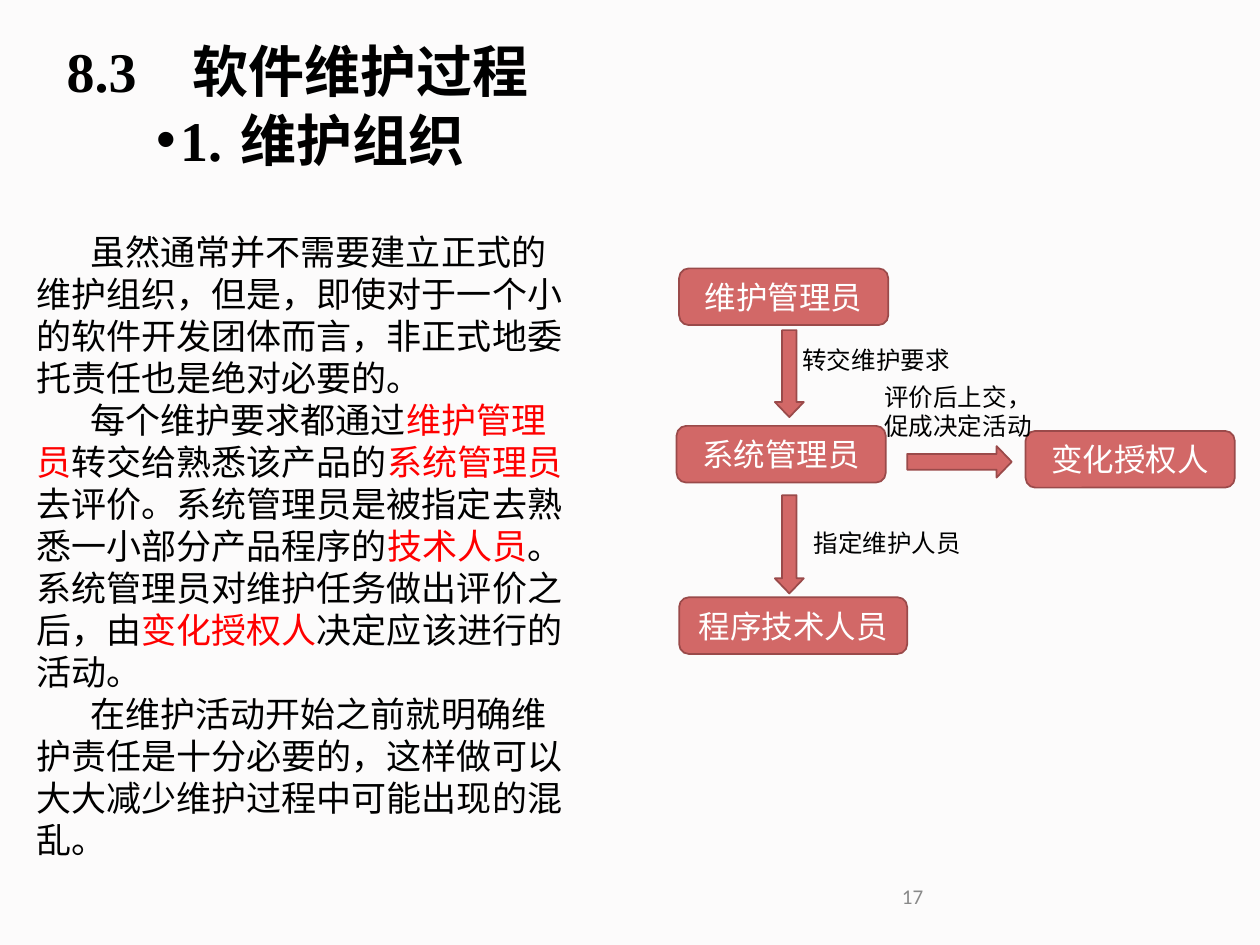
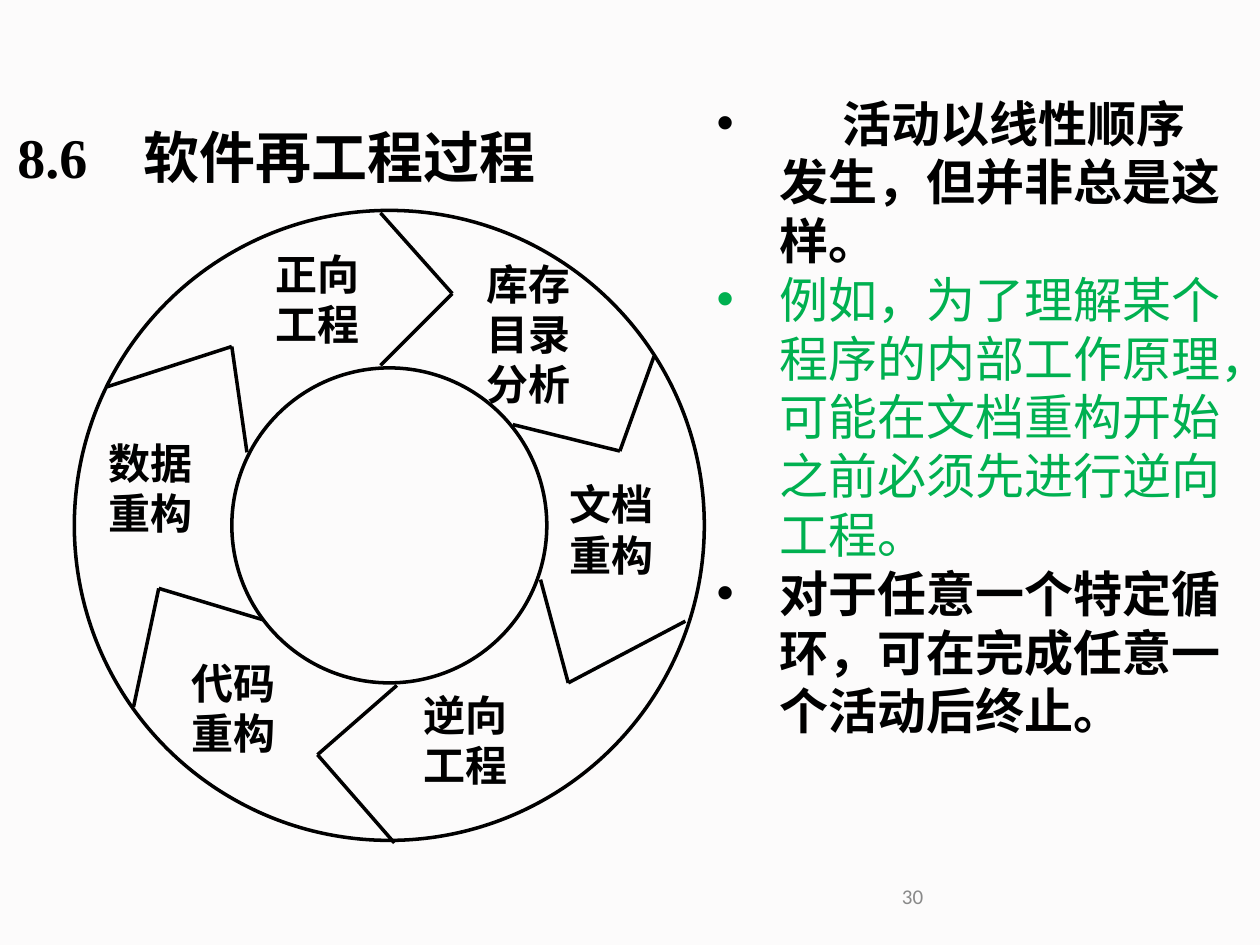
"""Build two slides on software maintenance: the organisation flow and the re-engineering ring."""
from lxml.etree import SubElement
from pptx import Presentation
from pptx.dml.color import RGBColor
from pptx.enum.shapes import MSO_CONNECTOR as Connector, MSO_SHAPE as Preset
from pptx.enum.text import MSO_ANCHOR as Anchor, PP_ALIGN as Align
from pptx.oxml.ns import qn
from pptx.util import Inches, Pt

PAPER = RGBColor(0xFC, 0xFB, 0xFB)
BLACK = RGBColor(0, 0, 0)
WHITE = RGBColor(0xFF, 0xFF, 0xFF)
RED = RGBColor(0xFF, 0, 0)
GREEN = RGBColor(0, 0xB0, 0x50)
GREY = RGBColor(0x89, 0x89, 0x89)
ROSE = RGBColor(0xD2, 0x68, 0x67)
WINE = RGBColor(0x9A, 0x4A, 0x4A)
HAN, SERIF, SANS, NUMBER = "Noto Sans CJK SC", "Times New Roman", "Arial", "Calibri"

deck = Presentation()
deck.slide_width, deck.slide_height = Inches(10), Inches(7.5)
COLUMN, ROW = deck.slide_width / 100, deck.slide_height / 75


def grid(*cells):
    """Turn alternating column and row counts into lengths."""
    return [round(cell * (ROW if index % 2 else COLUMN)) for index, cell in enumerate(cells)]


def write(box, paragraphs, size, name, color=BLACK, bold=False, anchor=Anchor.TOP,
          align=Align.LEFT, pitch=1.2, margin=0, indent=0, bullet=False, tab=None):
    """Fill a box with paragraphs, each a list of (text, format) spans."""
    frame = box.text_frame
    frame.word_wrap, frame.vertical_anchor = True, anchor
    for index, spans in enumerate(paragraphs):
        para = frame.add_paragraph() if index else frame.paragraphs[0]
        para.alignment, para.line_spacing = align, Pt(size * pitch)
        properties = para._p.get_or_add_pPr()
        properties.set("marL", str(Inches(margin)))
        properties.set("indent", str(Inches(indent)))
        if bullet:
            SubElement(properties, qn("a:buFont"), typeface=SANS)
            SubElement(properties, qn("a:buChar"), char="•")
        if tab:
            stops = SubElement(properties, qn("a:tabLst"))
            SubElement(stops, qn("a:tab"), pos=str(Inches(tab)), algn="l")
        for text, changes in spans:
            span = para.add_run()
            span.text = text
            values = {"size": Pt(size), "name": name, "bold": bold, "color": color} | changes
            span.font.fill.solid()
            span.font.fill.fore_color.rgb = values.pop("color")
            for key, value in values.items():
                setattr(span.font, key, value)
            SubElement(span._r.get_or_add_rPr(), qn("a:ea"), typeface=HAN)


pages = []
for title, place, number in [
    ("8.3\t软件维护过程", (4.3, 1.3, 43.3, 8.6), "17"),
    ("8.6\t软件再工程过程", (0.4, 7, 55, 10.8), "30"),
]:
    page = deck.slides.add_slide(deck.slide_layouts[6])
    page.background.fill.solid()
    page.background.fill.fore_color.rgb = PAPER
    write(page.shapes.add_textbox(*grid(*place)), [[(title, {})]], 32, SERIF,
          bold=True, anchor=Anchor.MIDDLE, tab=0.9)
    write(page.shapes.add_textbox(*grid(70.6, 69.4, 22.2, 3.5)), [[(number, {})]], 12, NUMBER,
          color=GREY, anchor=Anchor.MIDDLE)
    pages.append(page)
organisation, process = pages

write(organisation.shapes.add_textbox(*grid(11.4, 8.4, 41.5, 6.2)), [[("1.\t维护组织", {})]],
      32, SERIF, bold=True, pitch=1.08, margin=0.19, indent=-0.19, bullet=True, tab=0.67)

key = {"color": RED}
duties = [
    [("虽然通常并不需要建立正式的维护组织，但是，即使对于一个小的软件开发团体而言，"
      "非正式地委托责任也是绝对必要的。", {})],
    [("每个维护要求都通过", {}), ("维护管理员", key), ("转交给熟悉该产品的", {}),
     ("系统管理员", key), ("去评价。系统管理员是被指定去熟悉一小部分产品程序的", {}),
     ("技术人员", key), ("。系统管理员对维护任务做出评价之后，由", {}),
     ("变化授权人", key), ("决定应该进行的活动。", {})],
    [("在维护活动开始之前就明确维护责任是十分必要的，"
      "这样做可以大大减少维护过程中可能出现的混乱。", {})],
]
write(organisation.shapes.add_textbox(*grid(1.9, 17.8, 44.6, 51)), duties, 20, HAN, indent=0.43)

for preset, place, adjustments, role in [
    (Preset.ROUNDED_RECTANGLE, (53.9, 21.3, 16.6, 4.5), [0.17], "维护管理员"),
    (Preset.ROUNDED_RECTANGLE, (53.7, 33.8, 16.6, 4.5), [0.17], "系统管理员"),
    (Preset.ROUNDED_RECTANGLE, (53.9, 47.4, 18.1, 4.5), [0.17], "程序技术人员"),
    (Preset.ROUNDED_RECTANGLE, (81.4, 34.2, 16.6, 4.5), [0.17], "变化授权人"),
    (Preset.DOWN_ARROW, (61.5, 26.2, 2.3, 6.9), [0.5, 0.52], None),
    (Preset.DOWN_ARROW, (61.5, 39.3, 2.3, 7.8), [0.5, 0.52], None),
    (Preset.RIGHT_ARROW, (72, 35.4, 8.3, 2.5), [0.5, 0.48], None),
]:
    box = organisation.shapes.add_shape(preset, *grid(*place))
    box.shadow.inherit = False
    box.fill.solid()
    box.fill.fore_color.rgb = ROSE
    box.line.color.rgb, box.line.width = WINE, Pt(1)
    for index, value in enumerate(adjustments):
        box.adjustments[index] = value
    if role:
        write(box, [[(role, {})]], 18, SANS, color=WHITE, anchor=Anchor.MIDDLE, align=Align.CENTER)

for label, place in [
    ("转交维护要求", (62.7, 26.9, 13.9, 3.4)),
    ("指定维护人员", (63.6, 41.4, 13.9, 3.4)),
    ("评价后上交，促成决定活动", (69.2, 29.8, 13.9, 5.7)),
]:
    write(organisation.shapes.add_textbox(*grid(*place)), [[(label, {})]], 14, SANS)

ring = process.shapes.add_shape(Preset.DONUT, *grid(5.9, 16.7, 50, 50))
ring.shadow.inherit = False
ring.fill.background()
ring.line.color.rgb, ring.line.width = BLACK, Pt(2)
ring.adjustments[0] = 0.25

for tip, *ends in [
    ((12.6, 46.7), (10.6, 56.1), (20.9, 49.2)),
    ((18.4, 27.5), (8.5, 30.7), (19.6, 35.9)),
    ((35.9, 23.3), (30.2, 16.9), (30.2, 29)),
    ((25.2, 59.9), (31.5, 54.4), (31.3, 66.9)),
    ((45.1, 54.2), (42.9, 46), (54.4, 49.3)),
    ((49.2, 35.8), (51.9, 28.3), (40.7, 33.7)),
]:
    for end in ends:
        edge = process.shapes.add_connector(Connector.STRAIGHT, *grid(*tip, *end))
        edge.line.color.rgb, edge.line.width = BLACK, Pt(2)
        SubElement(edge._element.spPr, qn("a:effectLst"))

for activity, left, top, lines in [
    ("正向工程", 20.9, 19.2, 2),
    ("库存目录分析", 37.6, 20, 3),
    ("文档重构", 44.2, 37.5, 2),
    ("逆向工程", 32.6, 54.2, 2),
    ("代码重构", 14.2, 51.7, 2),
    ("数据重构", 7.6, 34.2, 2),
]:
    box = process.shapes.add_textbox(*grid(left, top, 10, 1 + 4 * lines))
    write(box, [[(activity, {})]], 24, SERIF, bold=True)

example = {"name": SANS, "color": GREEN, "bold": False}
remarks = [
    [("\t活动以线性顺序发生，但并非总是这样。", {})],
    [("例如，为了理解某个程序的内部工作原理，可能在文档重构开始之前必须先进行逆向工程。", example)],
    [("对于任意一个特定循环，可在完成任意一个活动后终止。", {})],
]
write(process.shapes.add_textbox(*grid(55.9, 6.9, 42, 47.7)), remarks, 28, SERIF,
      bold=True, margin=0.5, indent=-0.5, bullet=True, tab=0.37)

deck.save("out.pptx")
